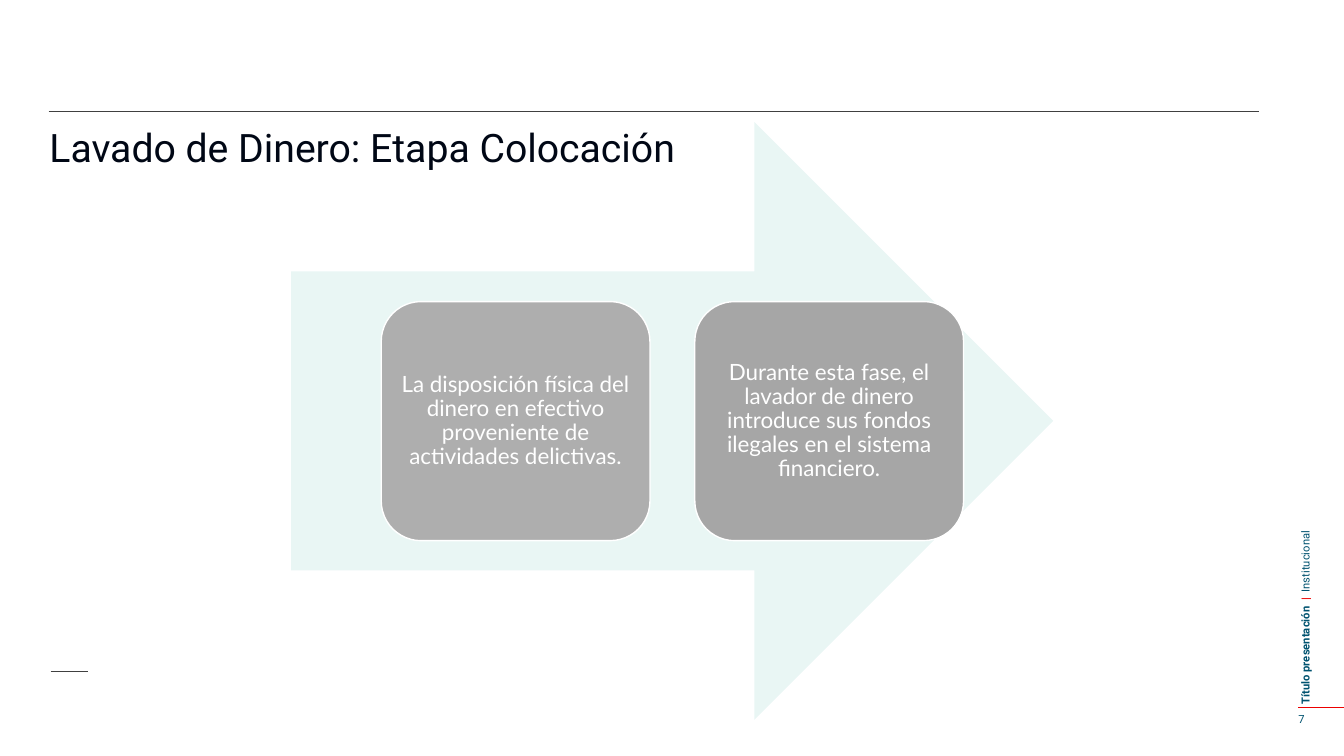
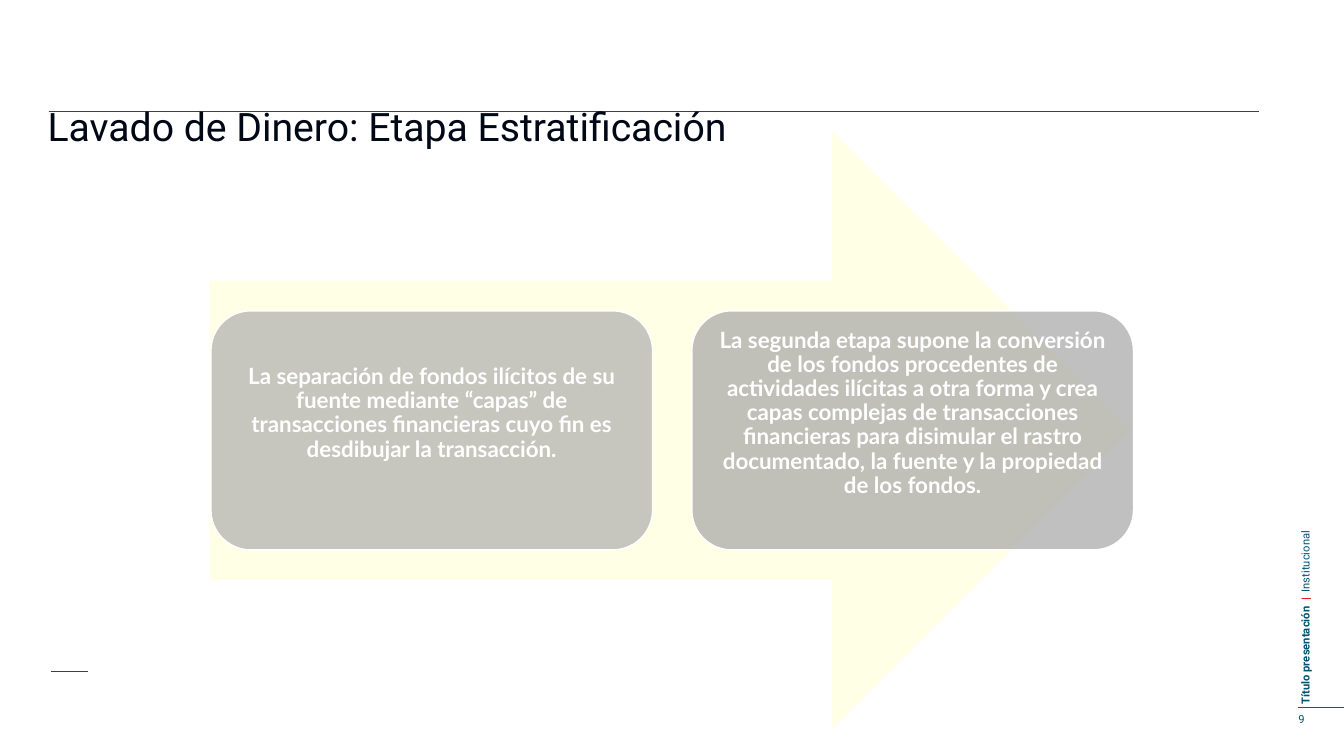
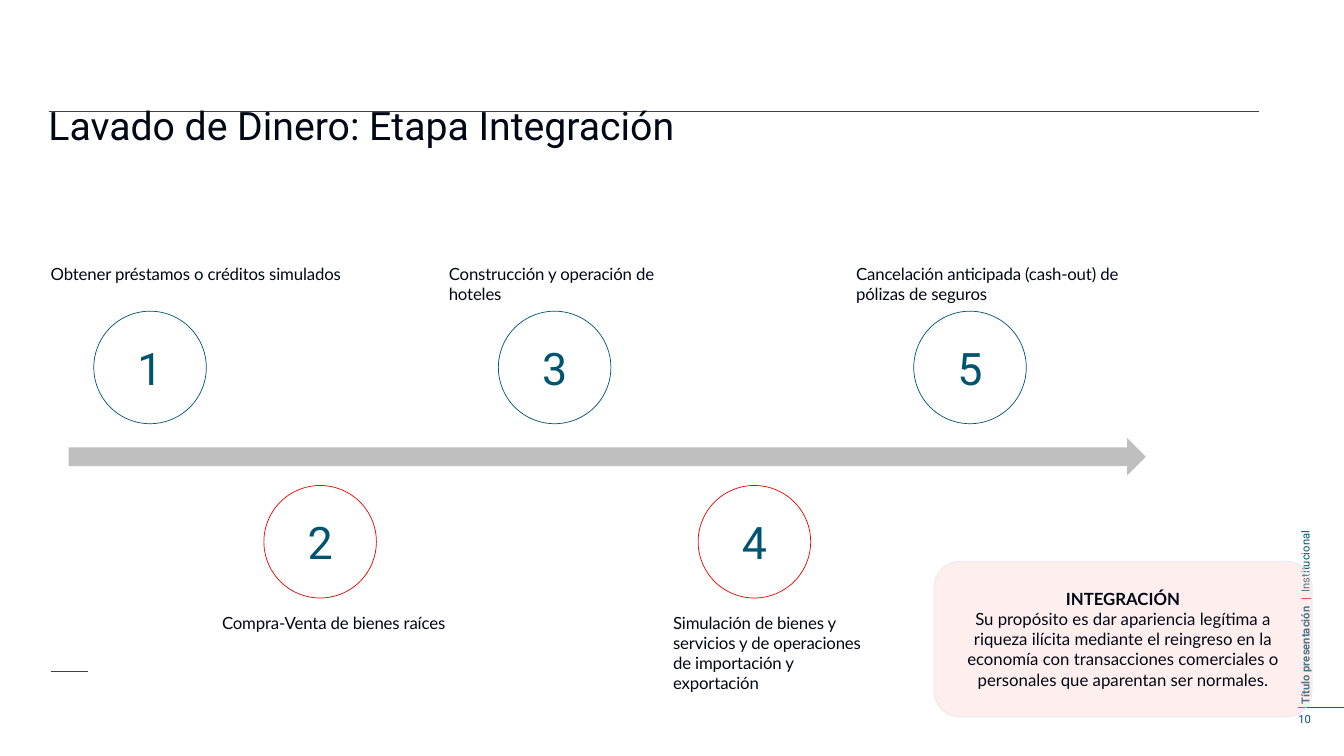
from lxml import etree
from pptx import Presentation
from pptx.dml.color import RGBColor
from pptx.enum.shapes import MSO_CONNECTOR, MSO_SHAPE
from pptx.enum.text import MSO_ANCHOR, PP_ALIGN
from pptx.oxml.ns import qn
from pptx.util import Pt

LINE = MSO_CONNECTOR.STRAIGHT
ARROW = MSO_SHAPE.RIGHT_ARROW
ROUND = MSO_SHAPE.ROUNDED_RECTANGLE
OVAL = MSO_SHAPE.OVAL
TOP, MID = MSO_ANCHOR.TOP, MSO_ANCHOR.MIDDLE
LEFT, CENTER = PP_ALIGN.LEFT, PP_ALIGN.CENTER

WHITE = RGBColor(0xFF, 0xFF, 0xFF)
INK = RGBColor(0x00, 0x07, 0x15)
TEAL = RGBColor(0x00, 0x54, 0x71)
NAVY = RGBColor(0x00, 0x53, 0x70)
RED = RGBColor(0xEC, 0x00, 0x00)
DARK = RGBColor(0x40, 0x40, 0x40)
MINT = RGBColor(0x2A, 0xA7, 0x98)
YELLOW = RGBColor(0xFF, 0xFF, 0x00)
PINK = RGBColor(0xFF, 0xC8, 0xC8)
PALE = RGBColor(0xE8, 0xE8, 0xE8)
SILVER = RGBColor(0xBF, 0xBF, 0xBF)
GRAYS = RGBColor(0xAE, 0xAE, 0xAE), RGBColor(0xA6, 0xA6, 0xA6)
HEAD, BODY = "Roboto", "Lato"


def draw(slide, kind, area, fill, alpha=100, line=None, width=0.5):
    """Add a flat preset shape; alpha is its opacity in percent."""
    shape = slide.shapes.add_shape(kind, *map(Pt, area))
    shape.shadow.inherit = False
    shape.fill.solid()
    shape.fill.fore_color.rgb = fill
    if alpha < 100:
        color = shape._element.spPr.find(".//" + qn("a:srgbClr"))
        etree.SubElement(color, qn("a:alpha")).set("val", str(alpha * 1000))
    if line is None:
        shape.line.fill.background()
    else:
        shape.line.color.rgb = line
        shape.line.width = Pt(width)
    return shape


def write(shape, lines, size, face, color, pad=(0, 0, 0, 0), align=LEFT,
          anchor=TOP, bold=False, space=1.0):
    """Fill a shape with one paragraph per line and return its frame."""
    frame = shape.text_frame
    frame.word_wrap = True
    frame.vertical_anchor = anchor
    frame.margin_left, frame.margin_top, frame.margin_right, frame.margin_bottom = map(Pt, pad)
    for i, line in enumerate(lines):
        para = frame.paragraphs[0] if i == 0 else frame.add_paragraph()
        para.add_run().text = line
        para.alignment = align
        para.line_spacing = space
        para.font.size = Pt(size)
        para.font.name = face
        para.font.color.rgb = color
        para.font.bold = bold
    return frame


deck = Presentation()
deck.slide_width, deck.slide_height = Pt(960), Pt(540)

# Shared frame: rules, side label, page number and title
rules = [
    (927.4, 505.5, 960, RED),
    (34.7, 79.7, 899.3, DARK),
    (36.2, 479.5, 62.6, DARK),
]
pages = [
    ("7", "Lavado de Dinero: Etapa Colocación", 35.3, 92.2),
    ("9", "Lavado de Dinero: Etapa Estratificación", 34, 77),
    ("10", "Lavado de Dinero: Etapa Integración", 34.6, 76.5),
]
slides = []
for page, title, left, top in pages:
    slide = deck.slides.add_slide(deck.slide_layouts[6])
    slides.append(slide)

    box = slide.shapes.add_textbox(Pt(927.4), Pt(93), Pt(9.4), Pt(410.4))
    frame = write(box, ["Título presentación  "], 8, HEAD, NAVY, (0, 2, 0, 0))
    frame._txBody.bodyPr.set("vert", "vert270")
    para = frame.paragraphs[0]
    para.runs[0].font.bold = True
    for word, color, bold in [("|  ", RED, True), ("Institucional", NAVY, False)]:
        run = para.add_run()
        run.text = word
        run.font.color.rgb = color
        run.font.bold = bold

    for start, y, end, color in rules:
        rule = slide.shapes.add_connector(LINE, Pt(start), Pt(y), Pt(end), Pt(y))
        rule.line.color.rgb = color
        rule.line.width = Pt(0.5)
        etree.SubElement(rule._element.spPr, qn("a:effectLst"))

    box = slide.shapes.add_textbox(Pt(927.4), Pt(509), Pt(28), Pt(9.4))
    write(box, [page], 8, HEAD, NAVY)
    box = slide.shapes.add_textbox(Pt(left), Pt(top), Pt(885), Pt(52))
    write(box, [title], 28, HEAD, INK, space=0.9)

# Stages: a wide arrow behind two cards
stages = [
    (slides[0], MINT, (208, 87.2, 544.3, 427), (272.3, 496.3), 215.4, 192, 100, False, 5, [
        "La disposición física del dinero en efectivo proveniente de actividades delictivas.",
        "Durante esta fase, el lavador de dinero introduce sus fondos ilegales en el "
        "sistema financiero."]),
    (slides[1], YELLOW, (149.8, 93.7, 658, 427), (150.7, 494.2), 222, 315.5, 70, True, 29, [
        "La separación de fondos ilícitos de su fuente mediante “capas” de transacciones "
        "financieras cuyo fin es desdibujar la transacción.",
        "La segunda etapa supone la conversión de los fondos procedentes de actividades "
        "ilícitas a otra forma y crea capas complejas de transacciones financieras para "
        "disimular el rastro documentado, la fuente y la propiedad de los fondos."]),
]
for slide, tint, area, lefts, top, width, alpha, bold, foot, texts in stages:
    draw(slide, ARROW, area, tint, 10)
    for left, gray, text in zip(lefts, GRAYS, texts):
        card = draw(slide, ROUND, (left, top, width, 170.8), gray, alpha, WHITE, 1)
        write(card, [text], 16, BODY, WHITE, (5, 5, 5, foot), CENTER, MID, bold, 0.9)

# Timeline: odd steps above the arrow, even steps below
slide = slides[2]
steps = [
    (67, 35.3, 212.4, "Obtener préstamos o créditos simulados"),
    (188.5, 157.7, 169.2, "Compra-Venta de bienes raíces"),
    (356, 319.7, 182.2, "Construcción y operación de hoteles"),
    (498.7, 479.9, 148.3,
     "Simulación de bienes y servicios y de operaciones de importación y exportación"),
    (652.7, 610.6, 193.7, "Cancelación anticipada (cash-out) de pólizas de seguros"),
]
for step, (left, edge, width, text) in enumerate(steps, 1):
    top, label, color = (222.3, 186.5, TEAL) if step % 2 else (346.8, 435.6, RED)
    ring = draw(slide, OVAL, (left, top, 80.4, 80.4), WHITE, line=color)
    write(ring, [str(step)], 32, HEAD, TEAL, (7.2, 3.6, 7.2, 3.6), CENTER, MID)
    box = slide.shapes.add_textbox(Pt(edge), Pt(label), Pt(width), Pt(46))
    frame = write(box, [text], 12, BODY, INK, (0.9, 2, 0, 0))
    frame.paragraphs[0].runs[0]._r.get_or_add_rPr().set("spc", "-10")

draw(slide, ARROW, (49, 313, 769.5, 26.6), SILVER)
note = draw(slide, ROUND, (667.2, 401, 270, 111), PINK, 30, PALE)
frame = write(note, [
    "INTEGRACIÓN",
    "Su propósito es dar apariencia legítima a riqueza ilícita mediante el reingreso en la "
    "economía con transacciones comerciales o personales que aparentan ser normales.",
], 12, BODY, INK, (7.2, 3.6, 7.2, 3.6), CENTER, MID)
frame.paragraphs[0].font.bold = True

deck.save("out.pptx")
